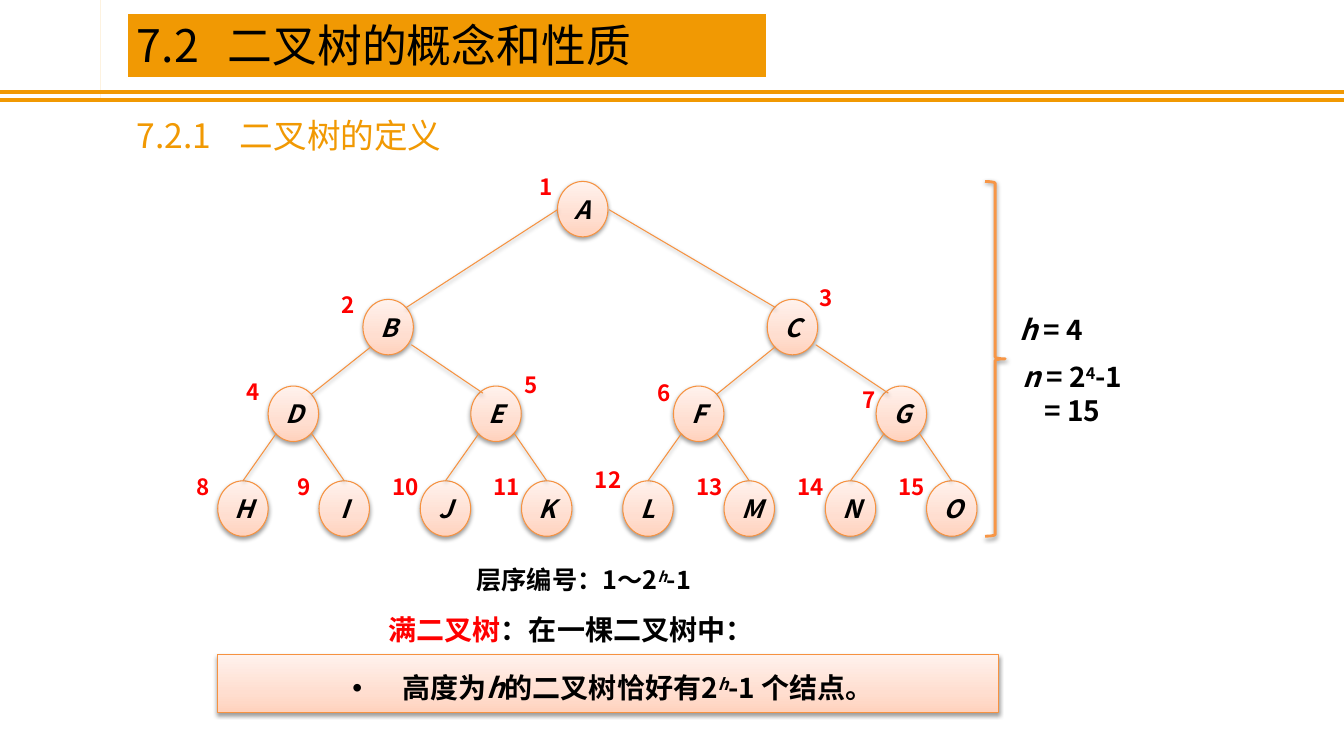
from lxml.etree import SubElement
from pptx import Presentation
from pptx.dml.color import RGBColor
from pptx.enum.shapes import MSO_CONNECTOR as Connector, MSO_SHAPE as Shape
from pptx.enum.text import MSO_ANCHOR as Anchor, MSO_AUTO_SIZE as AutoSize, PP_ALIGN as Align
from pptx.oxml.ns import qn
from pptx.util import Inches, Pt

ORANGE, EDGE, BRACE = "F19903", "F69240", "F79646"
RED, BLACK, WHITE = "FF0000", "000000", "FFFFFF"
PEACH = [(0, "FFD2BD"), (35, "FFDED0"), (100, "FFF2ED")]

LEVELS = [(5.53, 0, 1.8), (3.6, 4.01, 2.97), (2.66, 2.01, 3.83), (2.16, 1.0, 4.77)]
LEVELS[3] = (2.16, 7.03 / 7, 4.77)
EDGE_ENDS = [
    [((0, 0.28), (0.43, 0.08)), ((0.51, 0.28), (0.08, 0.08))],
    [((0.08, 0.47), (0.43, 0.08)), ((0.48, 0.45), (0.12, 0.07))],
    [((0.08, 0.47), (0.25, 0)), ((0.43, 0.47), (0.25, 0))],
]
LABEL_OFFSETS = {1: (-0.33, -0.08), 3: (0.37, -0.15), 5: (0.38, -0.15),
                 6: (-0.31, -0.07), 7: (-0.28, 0), 12: (-0.36, -0.15)}
BOOK = [
    [(1.01, 0.34), (1.01, 0.3), (0.96, 0.24), (0.88, 0.2), (0.88, 0.13), (0.79, 0.15),
     (0.73, 0.2), (0.7, 0.27), (0.64, 0.22), (0.55, 0.19), (0.47, 0.21), (0.39, 0.29),
     (0.39, 0.34), (0.37, 0.34), (0.37, 0.68), (1.03, 0.68), (1.03, 0.34)],
    [(0.49, 0.61), (0.55, 0.59), (0.62, 0.61)],
    [(0.67, 0.6), (0.62, 0.56), (0.55, 0.55), (0.48, 0.56), (0.43, 0.59), (0.43, 0.31),
     (0.48, 0.26), (0.55, 0.24), (0.62, 0.26), (0.67, 0.31)],
    [(0.84, 0.16), (0.84, 0.5), (0.78, 0.51), (0.72, 0.54), (0.72, 0.28), (0.76, 0.2)],
    [(0.77, 0.61), (0.84, 0.59), (0.9, 0.61)],
    [(0.96, 0.6), (0.91, 0.56), (0.84, 0.55), (0.77, 0.56), (0.72, 0.59), (0.79, 0.54),
     (0.88, 0.54), (0.88, 0.25), (0.93, 0.28), (0.96, 0.31)],
]


def color(code):
    return RGBColor.from_string(code)


class SlideBuilder:
    font = "Noto Sans CJK SC"

    def __init__(self, page):
        self.shapes = page.shapes

    def shadow(self, shape):
        effects = shape.element.spPr.find(qn("a:effectLst"))
        outer = SubElement(effects, qn("a:outerShdw"), blurRad="40000", dist="20000",
                           dir="5400000", rotWithShape="0")
        tint = SubElement(outer, qn("a:srgbClr"), val=BLACK)
        SubElement(tint, qn("a:alpha"), val="38000")

    def line(self, start, end, code, width, shaded=False):
        points = [Inches(value) for value in (*start, *end)]
        connector = self.shapes.add_connector(Connector.STRAIGHT, *points)
        connector.line.color.rgb = color(code)
        connector.line.width = Pt(width)
        SubElement(connector.element.spPr, qn("a:effectLst"))
        if shaded:
            self.shadow(connector)

    def shape(self, kind, place, fill, edge, width=0.75, shaded=True):
        shape = self.shapes.add_shape(kind, *[Inches(value) for value in place])
        if fill is None:
            shape.fill.background()
        elif isinstance(fill, str):
            shape.fill.solid()
            shape.fill.fore_color.rgb = color(fill)
        else:
            shape.fill.gradient()
            shape.fill.gradient_angle = 90
            stops = shape.element.spPr.find(".//" + qn("a:gsLst"))
            stops.clear()
            for position, code in fill:
                stop = SubElement(stops, qn("a:gs"), pos=str(position * 1000))
                SubElement(stop, qn("a:srgbClr"), val=code)
        shape.line.color.rgb = color(edge)
        shape.line.width = Pt(width)
        shape.shadow.inherit = False
        if shaded:
            self.shadow(shape)
        return shape

    def outline(self, contours, fill):
        builder = self.shapes.build_freeform(*contours[0][0], scale=Inches(1))
        builder.add_line_segments(contours[0][1:])
        for contour in contours[1:]:
            builder.move_to(*contour[0])
            builder.add_line_segments(contour[1:])
        shape = builder.convert_to_shape()
        shape.fill.solid()
        shape.fill.fore_color.rgb = color(fill)
        shape.line.fill.background()
        shape.shadow.inherit = False

    def label(self, box, lines, size, align=Align.CENTER, anchor=Anchor.TOP, code=BLACK,
              bold=True, insets=(0.1, 0.05, 0.1, 0.05), grow=True, tab=None, bullet=False):
        frame = box.text_frame
        frame.word_wrap = True
        frame.auto_size = AutoSize.SHAPE_TO_FIT_TEXT if grow else AutoSize.NONE
        frame.vertical_anchor = anchor
        (frame.margin_left, frame.margin_top,
         frame.margin_right, frame.margin_bottom) = [Inches(value) for value in insets]
        for index, spans in enumerate(lines):
            para = frame.add_paragraph() if index else frame.paragraphs[0]
            para.alignment = align
            props = para._p.get_or_add_pPr()
            if tab:
                tabs = SubElement(props, qn("a:tabLst"))
                SubElement(tabs, qn("a:tab"), pos=str(Inches(tab)), algn="l")
            if bullet:
                para.line_spacing = Pt(30)
                props.set("marL", str(Inches(0.5)))
                props.set("indent", str(-Inches(0.5)))
                SubElement(props, qn("a:buFont"), typeface="Arial")
                SubElement(props, qn("a:buChar"), char="•")
            for text, style in spans:
                span = para.add_run()
                span.text = text
                font = span.font
                font.size = Pt(size)
                font.bold = bold
                font.italic = "i" in style
                font.color.rgb = color(RED if "r" in style else code)
                font.name = self.font
                run_props = span._r.get_or_add_rPr()
                SubElement(run_props, qn("a:ea"), typeface=self.font)
                if "^" in style:
                    run_props.set("baseline", "30000")

    def text(self, place, lines, size, **style):
        box = self.shapes.add_textbox(*[Inches(value) for value in place])
        self.label(box, lines, size, **style)

    def node(self, left, top, number):
        circle = self.shape(Shape.OVAL, (left, top, 0.5, 0.55), PEACH, EDGE)
        letter = "ABCDEFGHIJKLMNO"[number - 1]
        self.label(circle, [[(letter, "i")]], 18, anchor=Anchor.MIDDLE, grow=False)
        across, down = LABEL_OFFSETS.get(number, (-0.36, -0.08))
        self.text((left + across, top + down, 0.43, 0.27), [[(str(number), "")]], 16,
                  anchor=Anchor.MIDDLE, code=RED, insets=(0, 0, 0, 0))

    def tree(self):
        places = {}
        for depth, (left, step, top) in enumerate(LEVELS):
            for index in range(2 ** depth):
                places[2 ** depth + index] = (left + index * step, top)
        for number, (left, top) in places.items():
            self.node(left, top, number)
        for child in range(2, len(places) + 1):
            parent = child // 2
            ends = EDGE_ENDS[parent.bit_length() - 1][child % 2]
            start, end = [(places[number][0] + across, places[number][1] + down)
                          for number, (across, down) in zip((parent, child), ends)]
            self.line(start, end, EDGE, 0.75, shaded=True)


def main():
    deck = Presentation()
    deck.slide_width, deck.slide_height = Inches(13.33), Inches(7.5)
    slide = SlideBuilder(deck.slides.add_slide(deck.slide_layouts[6]))

    for height in (0.91, 0.99):
        slide.line((0, height), (13.33, height), ORANGE, 3)
    slide.outline(BOOK, ORANGE)
    banner = slide.shape(Shape.RECTANGLE, (1.26, 0.13, 6.34, 0.64), ORANGE, WHITE, shaded=False)
    slide.label(banner, [[("7.2\t二叉树的概念和性质", "")]], 32, align=Align.LEFT,
                bold=False, tab=0.9)
    slide.text((1.26, 1.09, 4.19, 0.5), [[("7.2.1\t二叉树的定义", "")]], 24,
               align=Align.LEFT, code=ORANGE, bold=False, tab=1.02)

    slide.tree()

    slide.text((2.44, 6.03, 7.01, 0.44), [[("满二叉树", "r"), ("：在一棵二叉树中：", "")]], 20,
               insets=(0.1, 0.05, 0.66, 0.05))
    panel = slide.shape(Shape.RECTANGLE, (2.16, 6.49, 7.74, 0.58), PEACH, EDGE)
    slide.label(panel, [[("高度为", ""), ("h", "i"), ("的二叉树恰好有2", ""), ("h", "i^"),
                         ("-1 个结点。", "")]], 20, insets=(0.2, 0.08, 0.1, 0.08), bullet=True)
    slide.text((4.15, 5.55, 3.28, 0.4),
               [[("层序编号：1～2", ""), ("h", "i^"), ("-1", "")]], 18)
    slide.shape(Shape.RIGHT_BRACE, (9.77, 1.8, 0.2, 3.52), None, BRACE, 2)
    slide.text((10.01, 3.05, 1.17, 0.44), [[("h ", "i"), ("= 4", "")]], 20, align=Align.LEFT)
    slide.text((9.93, 3.52, 1.41, 0.77),
               [[("n ", "i"), ("= 2", ""), ("4", "^"), ("-1", "")], [("= 15", "")]], 20)
    deck.save("out.pptx")


if __name__ == "__main__":
    main()
